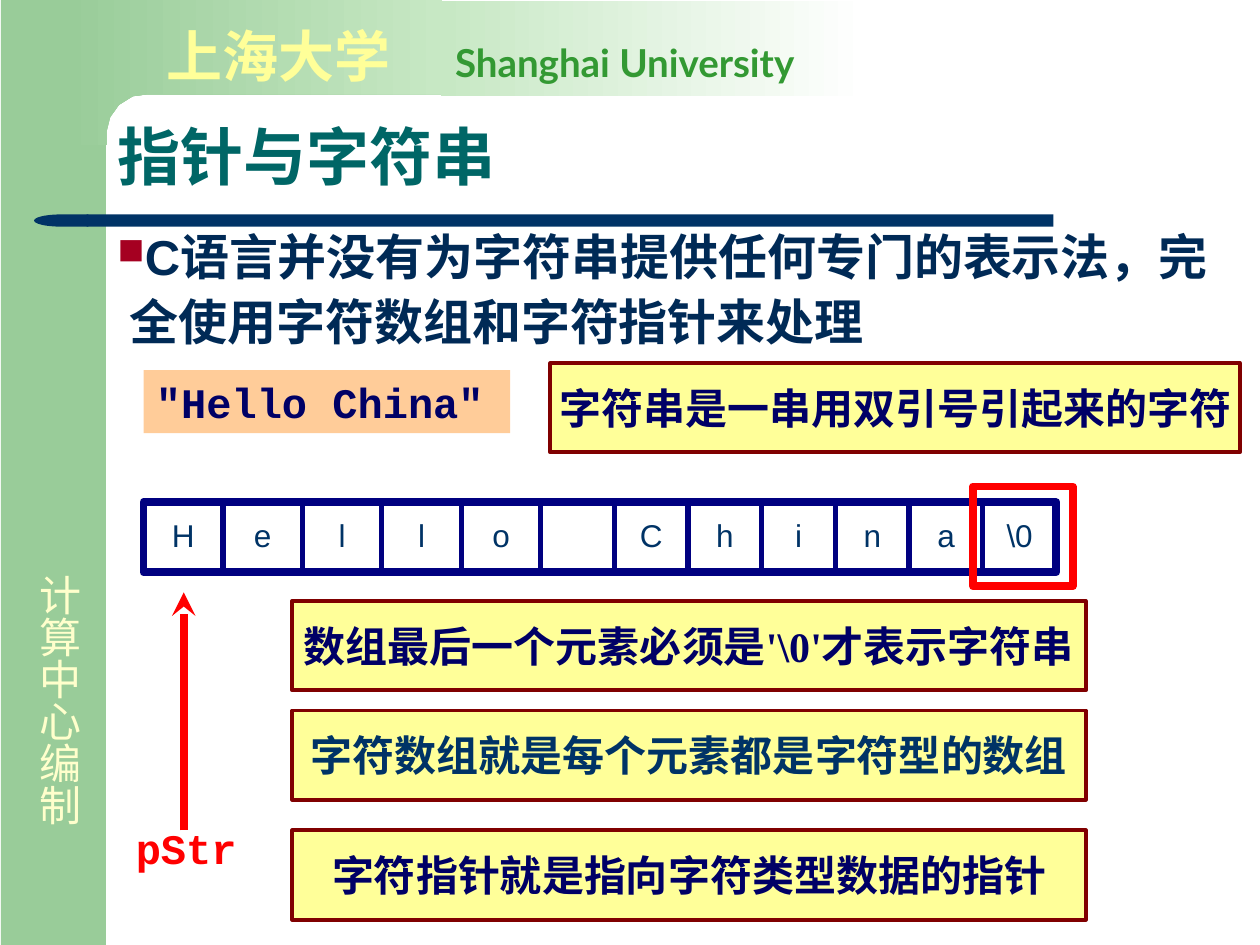
from itertools import pairwise
from lxml.etree import SubElement as Sub
from pptx import Presentation
from pptx.dml.color import RGBColor
from pptx.enum.shapes import MSO_CONNECTOR as Conn, MSO_SHAPE as Kind
from pptx.enum.text import MSO_ANCHOR as Anchor, PP_ALIGN as Align
from pptx.oxml.ns import qn
from pptx.util import Pt

NAVY, BLUE, INK = "000080", "003366", "000066"
GREEN, PALE, RED = "99CC99", "C7E8C4", "FF0000"


def tint(color, code):
    color.rgb = RGBColor.from_string(code)


def style(run, size, code, font, bold=True):
    run.font.size, run.font.bold, run.font.name = Pt(size), bold, font
    tint(run.font.color, code)
    Sub(run.font._element, qn("a:ea"), typeface="Noto Sans CJK SC")


def paint(shape, fill=None, line=None, width=2.25):
    shape.shadow.inherit = False
    if fill:
        shape.fill.solid()
        tint(shape.fill.fore_color, fill)
    else:
        shape.fill.background()
    if line:
        tint(shape.line.color, line)
        shape.line.width = Pt(width)
    else:
        shape.line.fill.background()
    return shape


def fade(shape, start, end):
    paint(shape)
    shape.fill.gradient()
    shape.fill.gradient_angle = 0
    for stop, code in zip(shape.fill.gradient_stops, (start, end)):
        tint(stop.color, code)


def block(slide, kind, box, fill=None, line=None, width=2.25):
    shape = slide.shapes.add_shape(kind, *map(Pt, box))
    return paint(shape, fill, line, width)


def label(slide, box, text, size, code, font, bold=True):
    shape = slide.shapes.add_textbox(*map(Pt, box))
    frame = shape.text_frame
    frame.word_wrap = True
    frame.text = text
    style(frame.paragraphs[0].runs[0], size, code, font, bold)
    return shape


def note(slide, box, text, code, font):
    shape = block(slide, Kind.RECTANGLE, box, "FFFF99", "800000")
    frame = shape.text_frame
    frame.word_wrap = False
    frame.vertical_anchor = Anchor.MIDDLE
    frame.text = text
    para = frame.paragraphs[0]
    para.alignment = Align.CENTER
    style(para.runs[0], 24, code, font)


def rule(slide, start, end, code, width):
    line = slide.shapes.add_connector(Conn.STRAIGHT, *map(Pt, start + end))
    tint(line.line.color, code)
    line.line.width = Pt(width)
    Sub(line.element.spPr, qn("a:effectLst"))
    return line


def tabs(para, stops, align):
    items = Sub(para._p.get_or_add_pPr(), qn("a:tabLst"))
    for stop in stops:
        Sub(items, qn("a:tab"), pos=str(Pt(stop)), algn=align)


def banner(slide):
    block(slide, Kind.RECTANGLE, (0.5, 0, 60, 540), GREEN)
    path = slide.shapes.build_freeform(37, 0, scale=Pt(1))
    path.add_line_segments([(253, 0), (253, 54), (84, 54), (76, 55), (68, 60),
                            (63, 67), (61, 75), (61, 83), (37, 83)])
    fade(path.convert_to_shape(), GREEN, PALE)
    block(slide, Kind.RECTANGLE, (49.5, 122.5, 552.5, 7), BLUE)
    cap = block(slide, Kind.FLOWCHART_DELAY, (19.5, 122.5, 31, 7), BLUE)
    cap.element.spPr.find(qn("a:xfrm")).set("flipH", "1")
    side = label(slide, (8.5, 321, 43, 164), "计算中心编制", 24, "FFFFCC",
                 "Arial", False)
    side.element.txBody.find(qn("a:bodyPr")).set("vert", "eaVert")
    fade(block(slide, Kind.RECTANGLE, (252, 0.5, 244, 54.5)), PALE, "FFFFFF")
    name = label(slide, (88, 8.5, 442, 45), "上海大学", 32, "FFFF99", "Arial")
    para = name.text_frame.paragraphs[0]
    tabs(para, [165], "l")
    run = para.add_run()
    run.text = "\tShanghai University"
    style(run, 22, "339933", "Lato")


def heading(slide):
    title = slide.shapes.title
    title.left, title.top, title.width, title.height = map(
        Pt, (60, 60.5, 527, 62))
    frame = title.text_frame
    frame.text = "指针与字符串"
    frame.vertical_anchor = Anchor.MIDDLE
    para = frame.paragraphs[0]
    para.alignment, para.line_spacing = Align.LEFT, 0.9
    style(para.runs[0], 36, "006666", "Arial")


def bullet(slide):
    text = "C语言并没有为字符串提供任何专门的表示法，完全使用字符数组和字符指针来处理"
    body = label(slide, (60, 122.5, 654.5, 91), text, 28, "002A56", "Arial")
    para = body.text_frame.paragraphs[0]
    para.line_spacing = 1.1
    props = para._p.get_or_add_pPr()
    props.set("marL", str(Pt(7)))
    props.set("indent", str(-Pt(7)))
    Sub(Sub(props, qn("a:buClr")), qn("a:srgbClr"), val="A50021")
    Sub(props, qn("a:buSzPct"), val="75000")
    Sub(props, qn("a:buChar"), char="■")


def array(slide):
    left, top, high = 82, 287, 40
    wide, slim = 45.4, 42.1
    edges = [left + wide * min(i, 5) + slim * max(i - 5, 0)
             for i in range(13)]
    block(slide, Kind.RECTANGLE, (left, top, edges[-1] - left, high),
          None, NAVY, 4.5)
    for x in edges[1:-1]:
        rule(slide, (x, top), (x, top + high), NAVY, 3)
    chars = [*"Hello", "", *"China", "\\0"]
    row = label(slide, (left, 291.5, 531, 29), "\t" + "\t".join(chars),
                18, BLUE, "Arial", False)
    row.text_frame.margin_left = 0
    mids = [(a + b) / 2 - left for a, b in pairwise(edges)]
    tabs(row.text_frame.paragraphs[0], mids, "ctr")


def main():
    deck = Presentation()
    deck.slide_width, deck.slide_height = Pt(720), Pt(540)
    slide = deck.slides.add_slide(deck.slide_layouts[5])
    banner(slide)
    heading(slide)
    bullet(slide)
    note(slide, (314.5, 207.5, 394, 51), "字符串是一串用双引号引起来的字符",
         INK, "Noto Sans CJK SC")
    array(slide)
    notes = [(343.5, "数组最后一个元素必须是'\\0'才表示字符串", INK),
             (406, "字符数组就是每个元素都是字符型的数组", BLUE),
             (474.5, "字符指针就是指向字符类型数据的指针", INK)]
    for top, text, code in notes:
        note(slide, (167, top, 453.5, 51), text, code, "Times New Roman")
    code = label(slide, (82, 211.5, 209.5, 36), '"Hello China"', 24, INK,
                 "Courier New")
    paint(code, "FFCC99")
    arrow = rule(slide, (105, 474.5), (105, 338.5), RED, 4.5)
    Sub(arrow.line._get_or_add_ln(), qn("a:tailEnd"), type="stealth")
    label(slide, (70.5, 466.5, 73.5, 36), "pStr", 24, RED, "Courier New")
    block(slide, Kind.RECTANGLE, (556, 278, 57, 57), None, RED, 4.5)
    deck.save("out.pptx")


if __name__ == "__main__":
    main()
